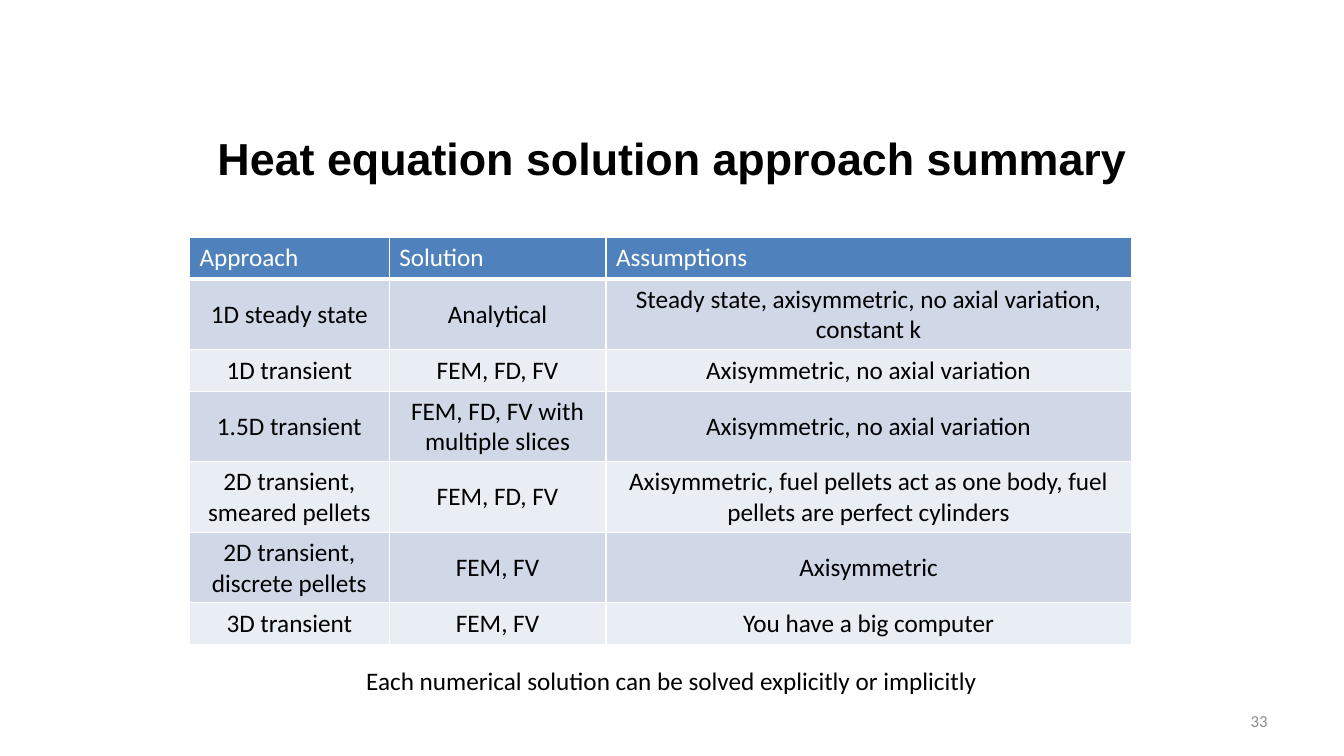
from dataclasses import dataclass

from lxml import etree
from pptx import Presentation
from pptx.dml.color import RGBColor
from pptx.enum.text import MSO_ANCHOR, PP_ALIGN
from pptx.oxml.ns import qn
from pptx.util import Inches, Pt

LEFT, CENTER, RIGHT = PP_ALIGN.LEFT, PP_ALIGN.CENTER, PP_ALIGN.RIGHT
TOP, MIDDLE = MSO_ANCHOR.TOP, MSO_ANCHOR.MIDDLE


@dataclass(frozen=True)
class Theme:
    black: str = "000000"
    white: str = "FFFFFF"
    gray: str = "8C8C8C"
    head: str = "4F81BD"
    bands: tuple = ("D0D8E8", "E9EDF4")
    title_font: str = "Arial"
    body_font: str = "Calibri"
    title: int = 32
    body: int = 18
    small: int = 12


THEME = Theme()

COLS = (1.98, 2.15, 5.21)
ROW = 0.41
ROWS = (
    ("Approach", "Solution", "Assumptions"),
    ("1D steady state", "Analytical",
     "Steady state, axisymmetric, no axial variation, constant k"),
    ("1D transient", "FEM, FD, FV", "Axisymmetric, no axial variation"),
    ("1.5D transient", "FEM, FD, FV with multiple slices",
     "Axisymmetric, no axial variation"),
    ("2D transient, smeared pellets", "FEM, FD, FV",
     "Axisymmetric, fuel pellets act as one body, "
     "fuel pellets are perfect cylinders"),
    ("2D transient, discrete pellets", "FEM, FV", "Axisymmetric"),
    ("3D transient", "FEM, FV", "You have a big computer"),
)


def write(frame, text, align, color, size=THEME.body, name=THEME.body_font,
          bold=False):
    para = frame.paragraphs[0]
    para.alignment = align
    run = para.add_run()
    run.text = text
    for key, value in {"size": Pt(size), "name": name, "bold": bold}.items():
        setattr(run.font, key, value)
    run.font.color.rgb = RGBColor.from_string(color)


def add_text(slide, box, text, align, color, anchor=MIDDLE, **font):
    frame = slide.shapes.add_textbox(*map(Inches, box)).text_frame
    frame.word_wrap = True
    frame.vertical_anchor = anchor
    write(frame, text, align, color, **font)


def add_edges(cell, widths):
    """Draw white cell borders; they must come before the cell fill."""
    props = cell._tc.get_or_add_tcPr()
    for spot, (side, width) in enumerate(widths.items()):
        line = etree.Element(qn(f"a:ln{side}"), w=str(Pt(width)))
        fill = etree.SubElement(line, qn("a:solidFill"))
        etree.SubElement(fill, qn("a:srgbClr"), val=THEME.white)
        props.insert(spot, line)


def add_grid(slide, left, top):
    size = (sum(COLS), ROW * len(ROWS))
    table = slide.shapes.add_table(
        len(ROWS), len(COLS), *map(Inches, (left, top, *size))).table
    for col, width in zip(table.columns, COLS):
        col.width = Inches(width)
    for r, texts in enumerate(ROWS):
        table.rows[r].height = Inches(ROW)
        head = r == 0
        fill = THEME.head if head else THEME.bands[(r - 1) % 2]
        for c, text in enumerate(texts):
            cell = table.cell(r, c)
            cell.fill.solid()
            cell.fill.fore_color.rgb = RGBColor.from_string(fill)
            cell.vertical_anchor = TOP if head else MIDDLE
            write(cell.text_frame, text, LEFT if head else CENTER,
                  THEME.white if head else THEME.black)
            add_edges(cell, {"L": 1, "R": 1, "T": 3 if r == 1 else 1,
                             "B": 3 if head else 1})


def main():
    deck = Presentation()
    deck.slide_width, deck.slide_height = Inches(13.33), Inches(7.5)
    slide = deck.slides.add_slide(deck.slide_layouts[6])

    # Title
    add_text(slide, (0.67, 0.98, 12, 1.17),
             "Heat equation solution approach summary", CENTER, THEME.black,
             size=THEME.title, name=THEME.title_font, bold=True)

    # Page number
    add_text(slide, (9.56, 6.95, 3.11, 0.4), "33", RIGHT, THEME.gray,
             size=THEME.small)

    # Table of approaches
    add_grid(slide, 1.88, 2.36)

    # Closing remark
    add_text(slide, (3.01, 6.55, 7.3, 0.4),
             "Each numerical solution can be solved explicitly or implicitly",
             CENTER, THEME.black, anchor=TOP)

    deck.save("out.pptx")


if __name__ == "__main__":
    main()
